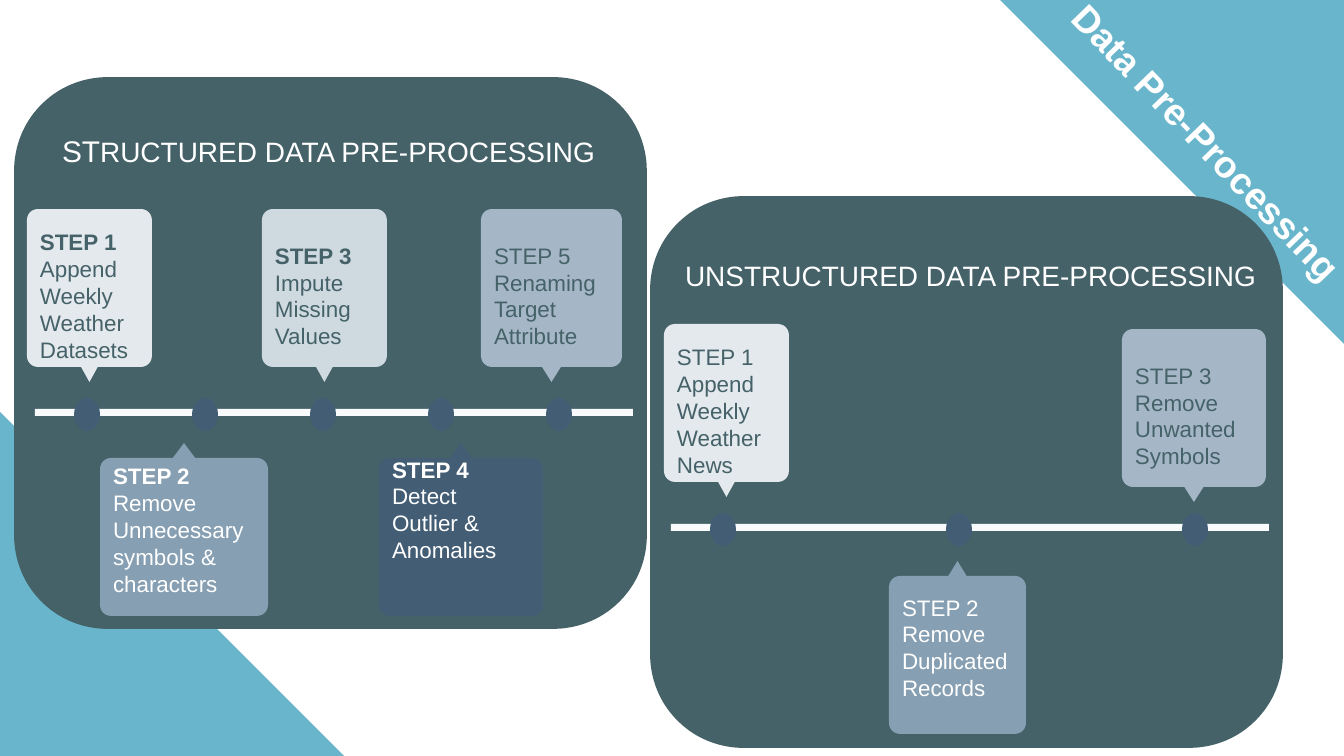
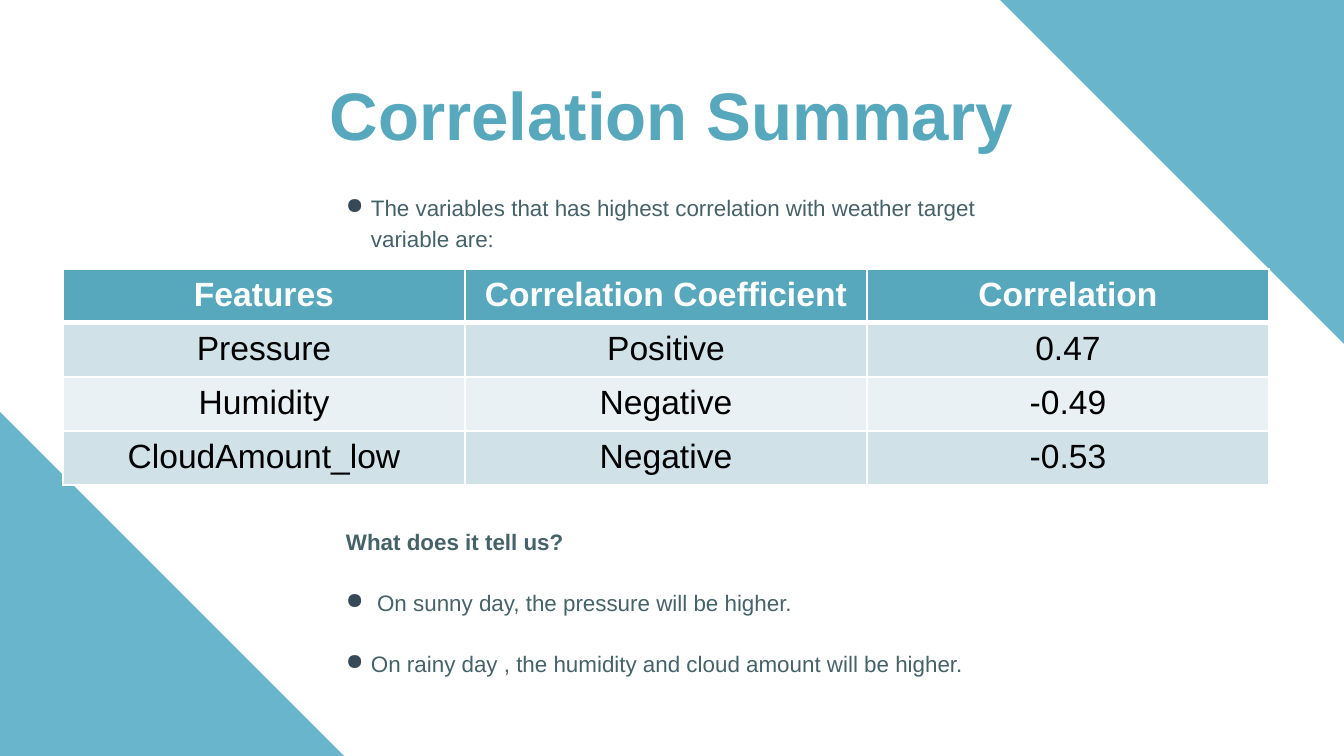
from dataclasses import dataclass
from math import cos, pi, sin

from lxml.etree import SubElement as Sub
from pptx import Presentation
from pptx.dml.color import RGBColor as Color
from pptx.enum.shapes import MSO_SHAPE as Kind
from pptx.enum.text import MSO_ANCHOR as Anchor, PP_ALIGN as Align
from pptx.oxml.ns import qn
from pptx.util import Pt

SCALE = 914400 / 134.4  # EMU in one px
INSET = 13
BODY, TAIL, CURVE = 158, 15, 11  # callout body height, tail height, corner radius
DOT_W, DOT_H = 26, 33


@dataclass(frozen=True)
class Theme:
    font: str = "Arial"
    band: str = "69B6CC"
    panel: str = "466269"
    teal: str = "57A7BD"
    white: str = "FFFFFF"
    black: str = "000000"
    bar: str = "F8FAFB"
    mist: str = "E3E9ED"
    pale: str = "CFD9E0"
    haze: str = "A5B7C6"
    steel: str = "869FB2"
    navy: str = "435D74"
    bullet: str = "374957"
    odd: str = "D1E1E8"
    even: str = "EAF1F4"
    title: int = 36
    ribbon: int = 20
    cell: int = 18
    lead: int = 16
    head: int = 15
    body: int = 12


T = Theme()


def px(n):
    return round(n * SCALE)


def paint(shape, fill, line=None):
    shape.shadow.inherit = False
    shape.fill.solid()
    shape.fill.fore_color.rgb = Color.from_string(fill)
    if line:
        shape.line.color.rgb = Color.from_string(line)
        shape.line.width = Pt(2)
    else:
        shape.line.fill.background()


def block(slide, kind, box, fill, line=None):
    shape = slide.shapes.add_shape(kind, *map(px, box))
    paint(shape, fill, line)
    return shape


def style(para, size, color, bold=False, align=Align.LEFT):
    para.alignment = align
    font = para.font
    font.name, font.size, font.bold = T.font, Pt(size), bold
    font.color.rgb = Color.from_string(color)


def frame(shape, anchor):
    text = shape.text_frame
    text.word_wrap = True
    text.vertical_anchor = anchor
    text.margin_left = text.margin_right = px(INSET)
    text.margin_top = text.margin_bottom = px(INSET)
    return text


def textbox(slide, box, anchor=Anchor.BOTTOM):
    shape = slide.shapes.add_textbox(*map(px, box))
    return shape, frame(shape, anchor)


def title(slide, box, words, size, color, turn=0):
    shape, text = textbox(slide, box)
    shape.rotation = turn
    para = text.paragraphs[0]
    para.text = words
    style(para, size, color, True, Align.CENTER)


def sheet(deck):
    """Add a blank slide with the two corner triangles."""
    slide = deck.slides.add_slide(deck.slide_layouts[6])
    block(slide, Kind.RIGHT_TRIANGLE, (1000, 0, 344, 344), T.band).rotation = 180
    block(slide, Kind.RIGHT_TRIANGLE, (0, 412, 344, 344), T.band)
    return slide


def outline(x, y, w, up):
    """Points of a rounded callout with its tail in the middle, below or above."""
    pts = []
    corners = ((w - CURVE, CURVE, -90), (w - CURVE, BODY - CURVE, 0),
               (CURVE, BODY - CURVE, 90), (CURVE, CURVE, 180))
    for turn, (cx, cy, start) in enumerate(corners):
        for step in range(7):
            a = (start + 15 * step) * pi / 180
            pts.append((cx + CURVE * cos(a), cy + CURVE * sin(a)))
        if turn == 1:
            half = w / 15
            pts += [(w / 2 + half, BODY), (w / 2, BODY + TAIL), (w / 2 - half, BODY)]
    return [(px(x + a), px(y + (BODY + TAIL - b if up else b))) for a, b in pts]


def callout(slide, x, y, w, fill, lines, bold=False, up=False, lift=0):
    """Draw a step; lift raises its centred text by half that length."""
    first, *rest = outline(x, y, w, up)
    pen = slide.shapes.build_freeform(*first)
    pen.add_line_segments(rest, close=True)
    shape = pen.convert_to_shape()
    paint(shape, fill)
    text = frame(shape, Anchor.MIDDLE)
    text.margin_bottom = px(INSET + lift)
    color = T.white if fill in (T.steel, T.navy) else T.panel
    for i, line in enumerate(lines):
        para = text.paragraphs[0] if i == 0 else text.add_paragraph()
        para.text = line
        style(para, T.body, color, bold and i == 0)


def panel(slide, x, y):
    block(slide, Kind.ROUNDED_RECTANGLE, (x, y, 629, 548), T.panel, T.panel)


def heading(slide, x, y, words, lead=""):
    """Write a panel heading whose lead letters are a little larger."""
    para = textbox(slide, (x, y, 609, 74))[1].paragraphs[0]
    style(para, T.head, T.white)
    if lead:
        run = para.add_run()
        run.text = lead
        run.font.size = Pt(T.lead)
    para.add_run().text = words


def track(slide, x, y, count, gap):
    """Draw a timeline bar with evenly spaced dots."""
    block(slide, Kind.RECTANGLE, (x, y, 598, 7), T.bar)
    for i in range(count):
        block(slide, Kind.OVAL, (x + 39 + i * gap, y - 11, DOT_W, DOT_H), T.navy)


def bullet(para):
    props = para._p.get_or_add_pPr()
    props.set("marL", str(px(25)))
    props.set("indent", str(-px(25)))
    Sub(Sub(props, qn("a:buClr")), qn("a:srgbClr"), val=T.bullet)
    Sub(props, qn("a:buChar"), char="●")


def notes(slide, box, items):
    """Write rows of (words, is a head, space before in points)."""
    text = textbox(slide, box, Anchor.TOP)[1]
    for i, (words, head, before) in enumerate(items):
        para = text.paragraphs[0] if i == 0 else text.add_paragraph()
        para.text = words
        if not head:
            bullet(para)
        para.line_spacing = 1.15
        para.space_before, para.space_after = Pt(before), Pt(16)
        style(para, T.body, T.panel, head)


def border(cell, row):
    """Rule a cell in white, with a thick line under the header."""
    props = cell._tc.get_or_add_tcPr()
    thick = {0: "lnB", 1: "lnT"}.get(row)
    for i, side in enumerate(("lnL", "lnR", "lnT", "lnB")):
        line = props.makeelement(qn("a:" + side), {"w": str(Pt(3 if side == thick else 1))})
        Sub(Sub(line, qn("a:solidFill")), qn("a:srgbClr"), val=T.white)
        props.insert(i, line)


def grid(slide, x, y, wide, high, rows):
    count = len(rows[0])
    box = (x, y, wide * count, high * len(rows))
    table = slide.shapes.add_table(len(rows), count, *map(px, box)).table
    for r, row in enumerate(rows):
        table.rows[r].height = px(high)
        fill = T.teal if r == 0 else (T.odd if r % 2 else T.even)
        for c, words in enumerate(row):
            table.columns[c].width = px(wide)
            cell = table.cell(r, c)
            cell.fill.solid()
            cell.fill.fore_color.rgb = Color.from_string(fill)
            cell.text = words
            style(cell.text_frame.paragraphs[0], T.cell,
                  T.black if r else T.white, r == 0, Align.CENTER)
            border(cell, r)


def steps(deck):
    slide = sheet(deck)
    panel(slide, 652, 198)
    panel(slide, 16, 79)
    title(slide, (1011, 97, 400, 82), "Data Pre-Processing", T.ribbon, T.white, 46.1)

    heading(slide, 49, 107, "RUCTURED DATA PRE-PROCESSING", "ST")
    callout(slide, 27, 209, 125, T.mist, ("STEP 1", "Append Weekly Weather Datasets"), True)
    callout(slide, 262, 209, 125, T.pale, ("STEP 3", "Impute", "Missing", "Values"), True)
    callout(slide, 100, 443, 168, T.steel,
            ("STEP 2", "Remove", "Unnecessary symbols &", "characters"), True, True)
    callout(slide, 379, 443, 164, T.navy,
            ("STEP 4", "Detect", "Outlier &", "Anomalies"), True, True, lift=40)
    callout(slide, 481, 209, 141, T.haze, ("STEP 5", "Renaming Target", "Attribute"))
    track(slide, 35, 409, 5, 118)

    heading(slide, 672, 231, "UNSTRUCTURED DATA PRE-PROCESSING")
    callout(slide, 664, 324, 125, T.mist, ("STEP 1", "Append Weekly", "Weather", "News"))
    callout(slide, 889, 561, 137, T.steel,
            ("STEP 2", "Remove", "Duplicated", "Records"), up=True)
    callout(slide, 1122, 329, 144, T.haze, ("STEP 3", "Remove", "Unwanted", "Symbols"))
    track(slide, 671, 524, 3, 236)


def summary(deck):
    slide = sheet(deck)
    title(slide, (148, 82, 1047, 85), "Correlation Summary", T.title, T.teal)
    notes(slide, (333, 177, 667, 519), (
        ("The variables that has highest correlation with weather target variable are:", False, 0),
        ("What does it tell us?", True, 130),
        (" On sunny day, the pressure will be higher.", False, 0),
        ("On rainy day , the humidity and cloud amount will be higher.", False, 0),
    ))
    grid(slide, 63, 269, 402, 54, (
        ("Features", "Correlation Coefficient", "Correlation"),
        ("Pressure", "Positive", "0.47"),
        ("Humidity", "Negative", "-0.49"),
        ("CloudAmount_low", "Negative", "-0.53"),
    ))


def main():
    deck = Presentation()
    deck.slide_width, deck.slide_height = px(1344), px(756)
    steps(deck)
    summary(deck)
    deck.save("out.pptx")


if __name__ == "__main__":
    main()
